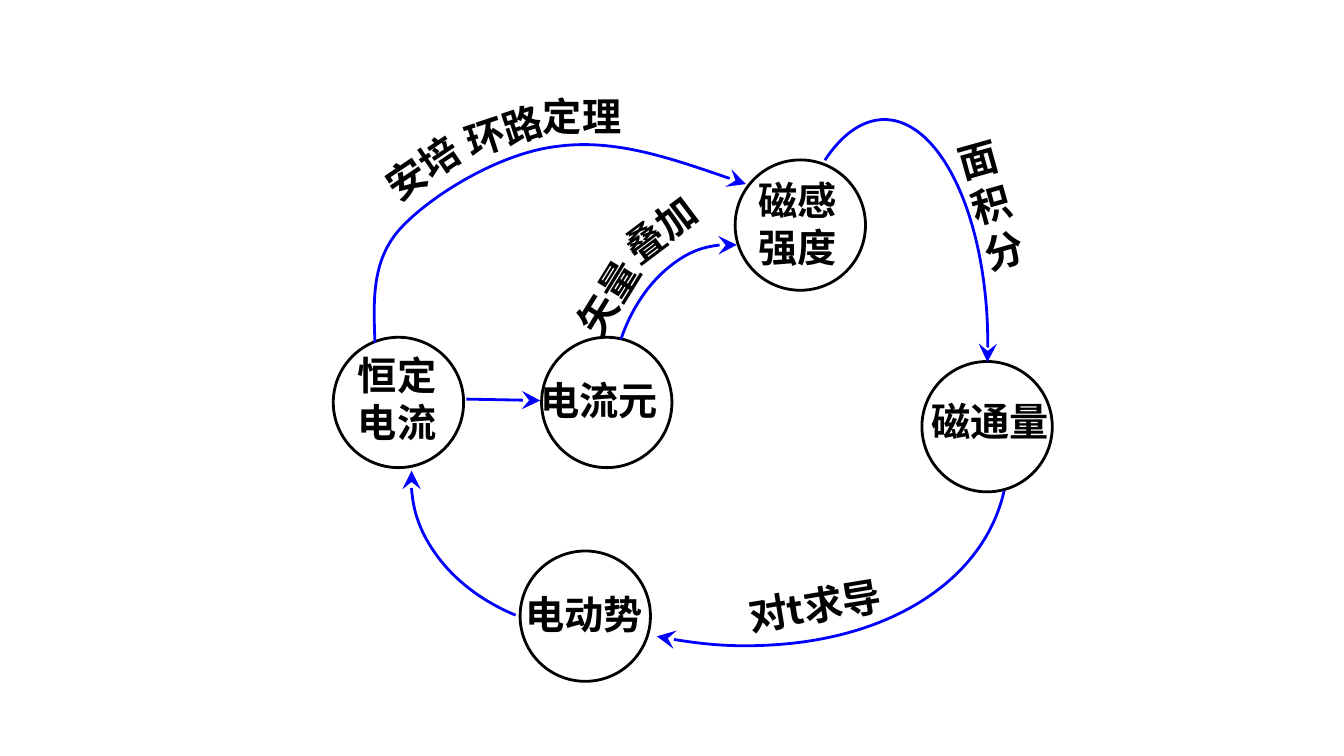
from lxml import etree
from pptx import Presentation
from pptx.dml.color import RGBColor
from pptx.enum.shapes import MSO_CONNECTOR, MSO_SHAPE
from pptx.enum.text import MSO_ANCHOR, MSO_AUTO_SIZE, PP_ALIGN
from pptx.oxml.ns import qn
from pptx.util import Inches, Pt

ARC, OVAL = MSO_SHAPE.ARC, MSO_SHAPE.OVAL
STRAIGHT = MSO_CONNECTOR.STRAIGHT
MIDDLE, FIT_SHAPE = MSO_ANCHOR.MIDDLE, MSO_AUTO_SIZE.SHAPE_TO_FIT_TEXT
LEFT, CENTER = PP_ALIGN.LEFT, PP_ALIGN.CENTER
COLORS = {"text": "000000", "outline": "000000", "arrow": "0000FF", "node": "FFFFFF"}
FONT = "Noto Sans CJK SC"
DIAMETER = 0.97

prs = Presentation()
prs.slide_width = Inches(10)
prs.slide_height = prs.slide_width * 9 // 16
slide = prs.slides.add_slide(prs.slide_layouts[6])
shapes = slide.shapes


def add_label(text, box, rotation=0, wrap=False, align=LEFT):
    label = shapes.add_textbox(*map(Inches, box))
    label.rotation = rotation
    frame = label.text_frame
    frame.text = text
    frame.word_wrap = wrap
    frame.auto_size = FIT_SHAPE
    frame.vertical_anchor = MIDDLE
    frame.margin_left = frame.margin_right = Inches(0.07)
    frame.margin_top = frame.margin_bottom = Inches(0.04)
    for paragraph in frame.paragraphs:
        paragraph.alignment = align
        properties = paragraph._p.get_or_add_pPr()
        properties.set("marL", "0")
        properties.set("indent", str(Inches(0.23)))
        for run in paragraph.runs:
            run.font.size = Pt(21)
            run.font.bold = True
            run.font.color.rgb = RGBColor.from_string(COLORS["text"])
            run.font.name = FONT
            etree.SubElement(run._r.rPr, qn("a:ea"), typeface=FONT)
    return label


def style_arrow(arrow):
    """Blue line ending in a large stealth arrowhead, without shadow."""
    arrow.line.color.rgb = RGBColor.from_string(COLORS["arrow"])
    arrow.line.width = Pt(1.5)
    etree.SubElement(arrow.line._get_or_add_ln(), qn("a:tailEnd"),
                     type="stealth", w="lg", len="lg")
    etree.SubElement(arrow._element.spPr, qn("a:effectLst"))


# Operations written along the arrows
add_label("对t求导", (5.26, 4.24, 2.23, 0.43), 350.7, wrap=True)
add_label("面\n积\n分", (6.93, 0.98, 0.68, 1.14), 344.2)
word_labels = [
    ("矢量", 3.98, 2.08, 301.6),
    ("叠加", 4.34, 1.55, 322.9),
    ("安培", 2.57, 1.09, 326),
    ("环路", 3.16, 0.79, 341.7),
    ("定理", 3.74, 0.65, 0),
]
for text, left, top, rotation in word_labels:
    add_label(text, (left, top, 0.98, 0.43), rotation)

# Quantities: circle corner, text, text box, wrap, alignment, white text box
quantities = [
    ((4.03, 2.51), "电流元", (3.72, 2.76, 1.27, 0.43), False, LEFT, True),
    ((6.86, 2.69), "磁通量", (6.63, 2.92, 1.27, 0.43), False, LEFT, False),
    ((5.47, 1.19), "磁感\n强度", (5.34, 1.27, 1.01, 0.78), True, LEFT, False),
    ((2.48, 2.51), "恒定\n电流", (2.21, 2.57, 1.26, 0.78), True, CENTER, False),
    ((3.87, 4.10), "电动势", (3.61, 4.35, 1.27, 0.43), False, LEFT, True),
]
for corner, text, box, wrap, align, white_box in quantities:
    label = add_label(text, box, wrap=wrap, align=align)
    if white_box:
        label.fill.solid()
        label.fill.fore_color.rgb = RGBColor.from_string(COLORS["node"])
    circle = shapes.add_shape(OVAL, *map(Inches, (*corner, DIAMETER, DIAMETER)))
    circle.shadow.inherit = False
    circle.fill.background()
    circle.line.color.rgb = RGBColor.from_string(COLORS["outline"])
    circle.line.width = Pt(1.5)

# Curved arrows: box, rotation, start and end adjustment, flipped both ways
arcs = [
    ((3.31, 0.47, 3.45, 5.05), 107.2, 160.76, 208.59, False),
    ((5.81, 0.89, 1.54, 3.34), 0, 151.25, 5.96, False),
    ((4.53, 1.82, 1.79, 2.50), 0, 20.48, 55.58, True),
    ((3.38, 2.11, 2.28, 2.92), 270, 20.48, 55.58, True),
]
for box, rotation, start, end, flipped in arcs:
    arc = shapes.add_shape(ARC, *map(Inches, box))
    arc.rotation = rotation
    arc.adjustments[0], arc.adjustments[1] = start, end
    if flipped:
        frame = arc._element.spPr.find(qn("a:xfrm"))
        frame.set("flipH", "1")
        frame.set("flipV", "1")
    arc.fill.background()
    style_arrow(arc)

current_arrow = shapes.add_connector(
    STRAIGHT, Inches(3.47), Inches(2.97), Inches(4.02), Inches(2.98))
style_arrow(current_arrow)

# Ampere's law curve in hundredths of an inch:
# start point, then three points for each Bezier segment
ampere_points = [
    (279, 255),
    (278, 225), (276, 194), (298, 170),
    (321, 145), (372, 114), (414, 109),
    (457, 103), (506, 120), (555, 137),
]
builder = shapes.build_freeform(*ampere_points[0], scale=Inches(0.01))
builder.add_line_segments(ampere_points[1:], close=False)
ampere_curve = builder.convert_to_shape()
outline = next(ampere_curve._element.iter(qn("a:path")))
segments = outline.findall(qn("a:lnTo"))
for first in range(0, len(segments), 3):
    bezier = etree.SubElement(outline, qn("a:cubicBezTo"))
    for segment in segments[first:first + 3]:
        bezier.append(segment[0])
        outline.remove(segment)
ampere_curve.fill.background()
style_arrow(ampere_curve)

prs.save("out.pptx")
